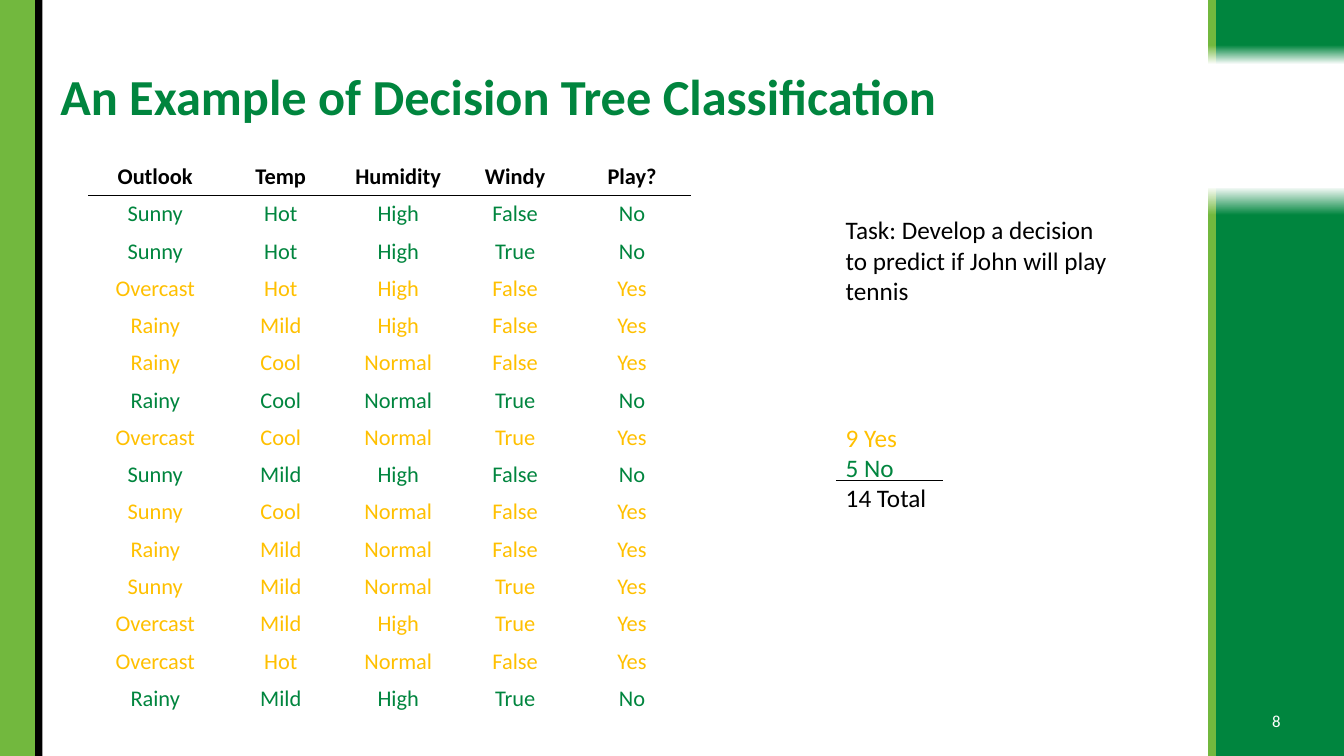
from lxml import etree
from pptx import Presentation
from pptx.dml.color import RGBColor
from pptx.enum.shapes import MSO_CONNECTOR, MSO_SHAPE
from pptx.enum.text import MSO_ANCHOR, PP_ALIGN
from pptx.oxml import parse_xml
from pptx.oxml.ns import qn
from pptx.util import Inches, Pt

RECT = MSO_SHAPE.RECTANGLE
LINE = MSO_CONNECTOR.STRAIGHT
LEFT, CENTER = PP_ALIGN.LEFT, PP_ALIGN.CENTER
TOP, MIDDLE, BOTTOM = MSO_ANCHOR.TOP, MSO_ANCHOR.MIDDLE, MSO_ANCHOR.BOTTOM
FONT = "Calibri"
COLORS = {"green": "00853E", "lime": "72B83E", "gold": "FFC000",
          "black": "000000", "white": "FFFFFF"}
SPACE = "http://schemas.openxmlformats.org/drawingml/2006/main"


def rgb(name):
    return RGBColor.from_string(COLORS[name])


def write(par, text, size=18, color="black", bold=False, align=LEFT, space=None):
    par.alignment = align
    par.line_spacing = space
    run = par.add_run()
    run.text = text
    run.font.name = FONT
    run.font.size = Pt(size)
    run.font.bold = bold
    run.font.color.rgb = rgb(color)


class Board:
    def __init__(self, deck):
        self.slide = deck.slides.add_slide(deck.slide_layouts[6])
        self.shapes = self.slide.shapes

    def bar(self, box, color, solid=None, turn=0):
        shape = self.shapes.add_shape(RECT, *map(Inches, box))
        shape.shadow.inherit = False
        shape.line.fill.background()
        shape.rotation = turn
        if solid is None:
            shape.fill.solid()
            shape.fill.fore_color.rgb = rgb(color)
            return
        shape.fill.gradient()
        shape.fill.gradient_angle = 270
        stops = shape.fill.gradient_stops
        for stop, place, tone in zip(stops, (solid, 1), (color, "white")):
            stop.position = place
            stop.color.rgb = rgb(tone)

    def text(self, box, lines, anchor=TOP, **style):
        frame = self.shapes.add_textbox(*map(Inches, box)).text_frame
        frame.word_wrap = True
        frame.vertical_anchor = anchor
        for i, (words, color) in enumerate(lines):
            par = frame.add_paragraph() if i else frame.paragraphs[0]
            write(par, words, color=color, **style)

    def line(self, start, end, color="black", width=0.5):
        rule = self.shapes.add_connector(LINE, *map(Inches, start + end))
        rule.line.color.rgb = rgb(color)
        rule.line.width = Pt(width)
        etree.SubElement(rule._element.spPr, qn("a:effectLst"))

    def edge(self, cell, side):
        mark = parse_xml(
            f'<a:{side} xmlns:a="{SPACE}" w="12700"><a:solidFill>'
            f'<a:srgbClr val="{COLORS["black"]}"/></a:solidFill></a:{side}>')
        cell._tc.get_or_add_tcPr().insert(0, mark)

    def table(self, spot, widths, heights, rows):
        size = sum(widths), sum(heights)
        grid = self.shapes.add_table(len(rows), len(widths),
                                     *map(Inches, spot + size)).table
        grid.first_row = grid.horz_banding = False
        for col, width in zip(grid.columns, widths):
            col.width = Inches(width)
        for r, (row, height) in enumerate(zip(rows, heights)):
            grid.rows[r].height = Inches(height)
            color = {"Yes": "gold", "No": "green"}.get(row[-1], "black")
            for c, word in enumerate(row):
                cell = grid.cell(r, c)
                cell.fill.solid()
                cell.fill.fore_color.rgb = rgb("white")
                cell.vertical_anchor = BOTTOM
                write(cell.text_frame.paragraphs[0], word, size=16,
                      color=color, bold=r == 0, align=CENTER)
                if r < 2:
                    self.edge(cell, ("lnB", "lnT")[r])


DATA = """Outlook Temp Humidity Windy Play?
Sunny Hot High False No
Sunny Hot High True No
Overcast Hot High False Yes
Rainy Mild High False Yes
Rainy Cool Normal False Yes
Rainy Cool Normal True No
Overcast Cool Normal True Yes
Sunny Mild High False No
Sunny Cool Normal False Yes
Rainy Mild Normal False Yes
Sunny Mild Normal True Yes
Overcast Mild High True Yes
Overcast Hot Normal False Yes
Rainy Mild High True No"""
rows = [row.split() for row in DATA.splitlines()]

deck = Presentation()
deck.slide_width, deck.slide_height = Inches(13.33), Inches(7.5)
board = Board(deck)

for left, width, color in ((12.06, 1.27, "green"), (11.98, 0.08, "lime")):
    board.bar((left, 0, width, 0.64), color, solid=0.7)
    board.bar((left, 1.85, width, 5.65), color, solid=0.95, turn=180)
board.bar((0, 0, 0.35, 7.5), "lime")
board.bar((0.35, 0, 0.07, 7.5), "black")

board.text((0.5, 0.4, 11.4, 1.16),
           [("An Example of Decision Tree Classification", "green")],
           anchor=MIDDLE, size=36, bold=True, space=0.9)
board.text((12.4, 6.95, 0.52, 0.4), [("8", "white")],
           anchor=MIDDLE, size=12, align=CENTER)
board.table((0.88, 1.56), [1.32, 1.17] + [1.16] * 3,
            [0.38] + [0.37] * (len(rows) - 1), rows)

plays = [row[-1] for row in rows[1:]]
board.text((8.29, 4.14, 2.33, 1.01),
           [(f"{plays.count('Yes')} Yes", "gold"),
            (f"{plays.count('No')} No", "green"),
            (f"{len(plays)} Total", "black")])
board.line((8.29, 4.77), (9.35, 4.77))
board.text((8.29, 2.08, 2.83, 1.01),
           [("Task: Develop a decision to predict if John will play tennis",
             "black")])

deck.save("out.pptx")
